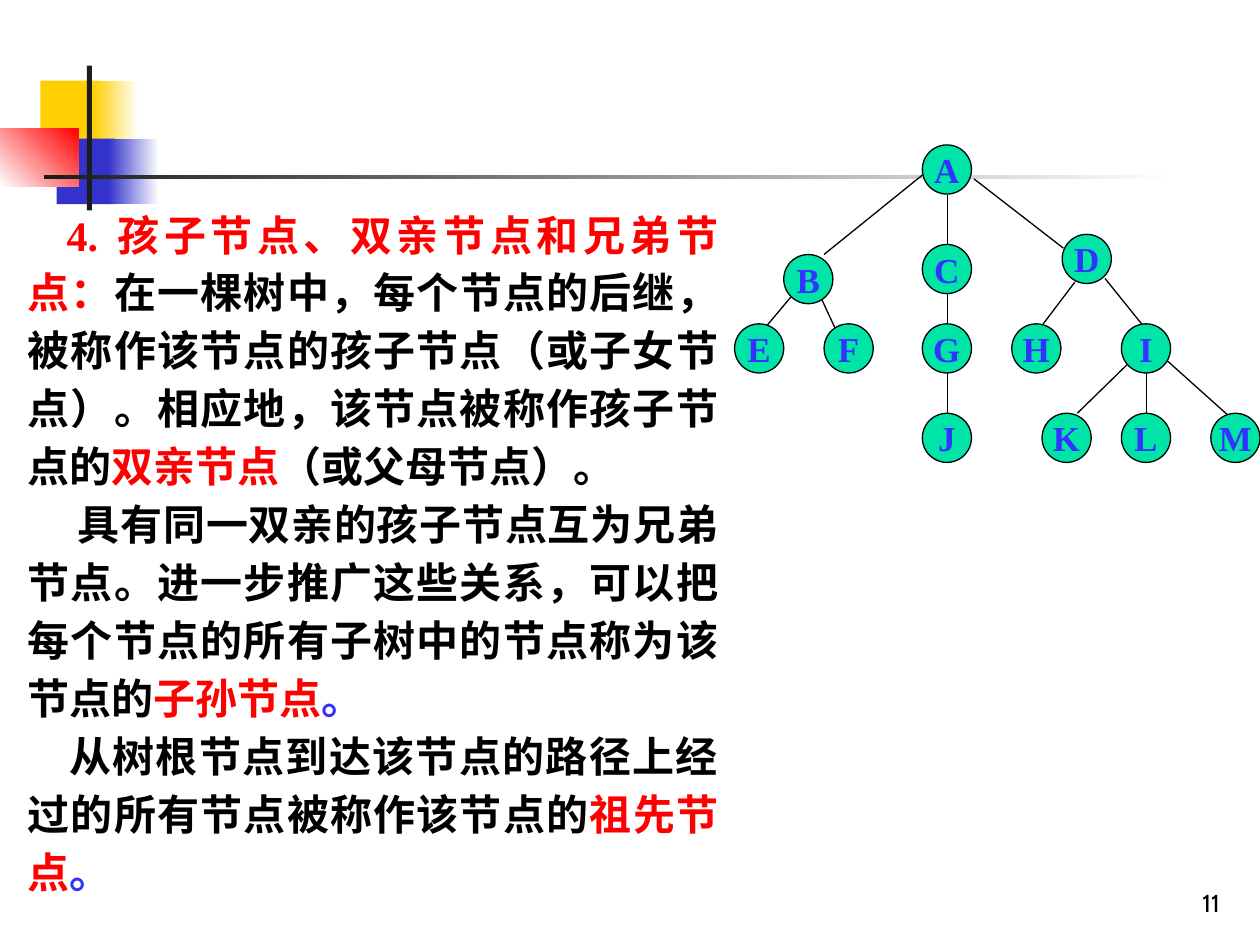
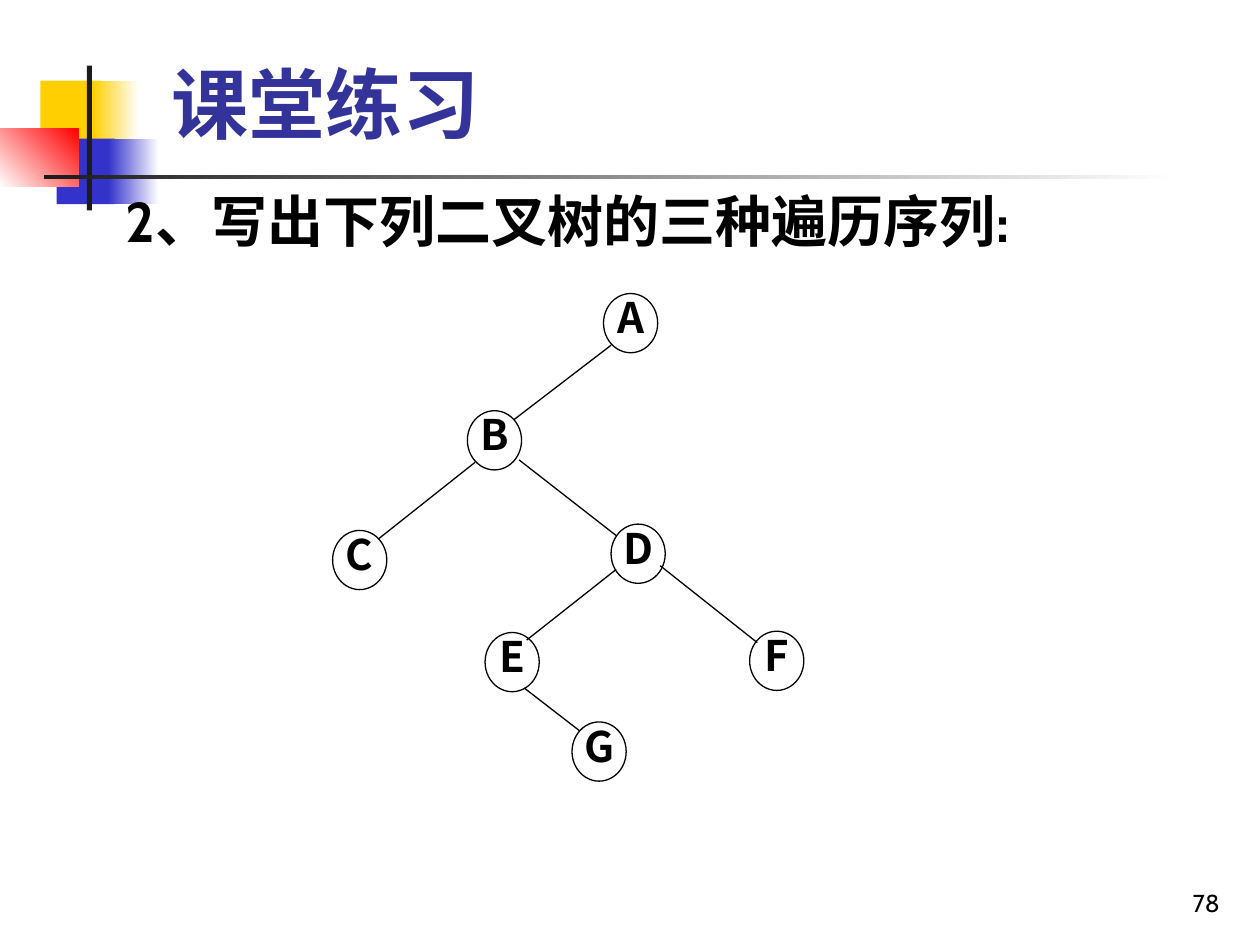
from lxml import etree
from pptx import Presentation
from pptx.dml.color import RGBColor
from pptx.enum.shapes import MSO_CONNECTOR, MSO_SHAPE
from pptx.enum.text import MSO_ANCHOR, PP_ALIGN
from pptx.oxml.ns import qn
from pptx.util import Inches, Pt

RECT, OVAL = MSO_SHAPE.RECTANGLE, MSO_SHAPE.OVAL
STRAIGHT = MSO_CONNECTOR.STRAIGHT
TOP, MIDDLE, BOTTOM = MSO_ANCHOR.TOP, MSO_ANCHOR.MIDDLE, MSO_ANCHOR.BOTTOM
LEFT, CENTER, RIGHT, JUSTIFY = PP_ALIGN.LEFT, PP_ALIGN.CENTER, PP_ALIGN.RIGHT, PP_ALIGN.JUSTIFY

BLACK, WHITE, RED, BLUE = "000000", "FFFFFF", "FF0000", "3333FF"
GOLD, NAVY, DARK, GREEN, TITLE = "FFCF01", "3333CC", "1C1C1C", "00E4A8", "333399"
SANS, SERIF, HAN = "Cabin", "Times New Roman", "Noto Sans CJK SC"

BANDS = [
    ((0.32, 0.64, 0.48, 0.52), GOLD, None, 0),
    ((0.74, 0.64, 0.36, 0.52), GOLD, WHITE, 0),
    ((0.45, 1.1, 0.46, 0.52), NAVY, None, 0),
    ((0.86, 1.1, 0.4, 0.52), NAVY, WHITE, 0),
    ((0, 1.02, 0.62, 0.46), WHITE, RED, 45),
    ((0.69, 0.52, 0.04, 1.15), DARK, None, 0),
    ((0.35, 1.39, 9, 0.03), DARK, WHITE, 0),
]

TERMS = [
    (0.31, [("4. 孩子节点、双亲节点和兄弟节点：", RED),
            ("在一棵树中，每个节点的后继，被称作该节点的孩子节点（或子女节点）。"
             "相应地，该节点被称作孩子节点的", BLACK),
            ("双亲节点", RED), ("（或父母节点）。", BLACK)]),
    (0.4, [("具有同一双亲的孩子节点互为兄弟节点。进一步推广这些关系，"
            "可以把每个节点的所有子树中的节点称为该节点的", BLACK),
           ("子孙节点", RED), ("。", BLUE)]),
    (0.33, [("从树根节点到达该节点的路径上经过的所有节点被称作该节点的", BLACK),
            ("祖先节点", RED), ("。", BLUE)]),
]

KIN = {
    "A": (7.32, 1.15), "B": (6.22, 2.02), "C": (7.32, 1.94), "D": (8.43, 1.86),
    "E": (5.83, 2.57), "F": (6.54, 2.57), "G": (7.32, 2.57), "H": (8.03, 2.57),
    "I": (8.9, 2.57), "J": (7.32, 3.28), "K": (8.27, 3.28), "L": (8.9, 3.28),
    "M": (9.61, 3.28),
}
KIN_EDGES = [
    (7.32, 1.39, 6.54, 2.02), (7.52, 1.55, 7.52, 1.94), (7.73, 1.42, 8.44, 1.97),
    (6.3, 2.33, 6.09, 2.58), (6.51, 2.35, 6.63, 2.61), (7.52, 2.33, 7.52, 2.57),
    (7.52, 2.96, 7.52, 3.28), (8.53, 2.24, 8.28, 2.57), (8.77, 2.21, 9.06, 2.57),
    (8.95, 2.89, 8.55, 3.28), (9.1, 2.96, 9.1, 3.28), (9.26, 2.86, 9.74, 3.29),
]

BINARY = {
    "A": (4.79, 2.33), "B": (3.71, 3.26), "C": (2.64, 4.21), "D": (4.85, 4.16),
    "E": (3.85, 5.02), "F": (5.95, 5.01), "G": (4.54, 5.73),
}
BINARY_EDGES = [
    (4.85, 2.74, 4.08, 3.33), (4.12, 3.65, 4.89, 4.25), (3.77, 3.67, 3, 4.28),
    (4.89, 4.52, 4.18, 5.08), (5.24, 4.49, 6.01, 5.1), (4.16, 5.46, 4.6, 5.8),
]


def rgb(code):
    return RGBColor.from_string(code)


def inches(box):
    return [Inches(v) for v in box]


class Deck:
    def __init__(self):
        self.file = Presentation()
        self.file.slide_width, self.file.slide_height = Inches(10), Inches(7.5)
        self.slide = None

    def page(self, number, title=None):
        layout = self.file.slide_layouts[5 if title else 6]
        self.slide = self.file.slides.add_slide(layout)
        for band in BANDS:
            self.band(*band)
        if title:
            self.title(title)
        self.text((7.7, 6.83, 2.08, 0.5), number, SANS, 14,
                  bold=False, align=RIGHT, anchor=BOTTOM, space=0.8)

    def shape(self, kind, box):
        shape = self.slide.shapes.add_shape(kind, *inches(box))
        shape.shadow.inherit = False
        return shape

    def band(self, box, start, end, angle):
        shape = self.shape(RECT, box)
        shape.line.fill.background()
        if end is None:
            shape.fill.solid()
            shape.fill.fore_color.rgb = rgb(start)
            return
        shape.fill.gradient()
        shape.fill.gradient_angle = angle
        for stop, color in zip(shape.fill.gradient_stops, (start, end)):
            stop.color.rgb = rgb(color)

    def style(self, para, face, size, color=None, bold=True, align=LEFT, space=None):
        para.alignment = align
        if space:
            para.line_spacing = space
        font = para.font
        font.name, font.size, font.bold = face, Pt(size), bold
        if color:
            font.color.rgb = rgb(color)
        for run in para.runs:
            etree.SubElement(run.font._rPr, qn("a:ea"), typeface=HAN)

    def title(self, text):
        shape = self.slide.shapes.title
        shape.left, shape.top, shape.width, shape.height = inches((1.26, 0.23, 8.52, 1))
        frame = shape.text_frame
        frame.text = text
        frame.vertical_anchor = BOTTOM
        self.style(frame.paragraphs[0], SANS, 44, TITLE)

    def frame(self, box, anchor=TOP):
        frame = self.slide.shapes.add_textbox(*inches(box)).text_frame
        frame.word_wrap = True
        frame.vertical_anchor = anchor
        return frame

    def text(self, box, text, face, size, bold=True, align=LEFT, anchor=TOP, space=None):
        frame = self.frame(box, anchor)
        frame.text = text
        self.style(frame.paragraphs[0], face, size, BLACK, bold, align, space)

    def prose(self, box, items):
        frame = self.frame(box)
        for index, (indent, parts) in enumerate(items):
            para = frame.add_paragraph() if index else frame.paragraphs[0]
            props = para._p.get_or_add_pPr()
            props.set("indent", str(Inches(indent)))
            props.set("hangingPunct", "0")
            for words, color in parts:
                run = para.add_run()
                run.text = words
                run.font.color.rgb = rgb(color)
            self.style(para, SERIF, 24, align=JUSTIFY, space=1.15)

    def node(self, name, box, fill, face, size, color, space):
        shape = self.shape(OVAL, box)
        if fill:
            shape.fill.solid()
            shape.fill.fore_color.rgb = rgb(fill)
        else:
            shape.fill.background()
        shape.line.color.rgb = rgb(BLACK)
        shape.line.width = Pt(0.75)
        frame = shape.text_frame
        frame.text = name
        frame.word_wrap = False
        frame.vertical_anchor = MIDDLE
        self.style(frame.paragraphs[0], face, size, color, align=CENTER, space=space)

    def edge(self, ends):
        line = self.slide.shapes.add_connector(STRAIGHT, *inches(ends))
        line.line.color.rgb = rgb(BLACK)
        line.line.width = Pt(0.75)
        etree.SubElement(line._element.spPr, qn("a:effectLst"))

    def tree(self, nodes, edges, size, *look):
        for ends in edges:
            self.edge(ends)
        for name, spot in nodes.items():
            self.node(name, spot + size, *look)


def main():
    deck = Deck()

    deck.page("11")
    deck.prose((0.12, 1.55, 5.68, 5.62), TERMS)
    deck.tree(KIN, KIN_EDGES, (0.39, 0.39), GREEN, SERIF, 20, BLUE, None)

    deck.page("78", "课堂练习")
    deck.text((0.9, 1.62, 7.73, 0.42), "2、写出下列二叉树的三种遍历序列:", SANS, 32, space=0.6)
    deck.tree(BINARY, BINARY_EDGES, (0.43, 0.47), None, HAN, 24, BLACK, 0.7)

    deck.file.save("out.pptx")


if __name__ == "__main__":
    main()
